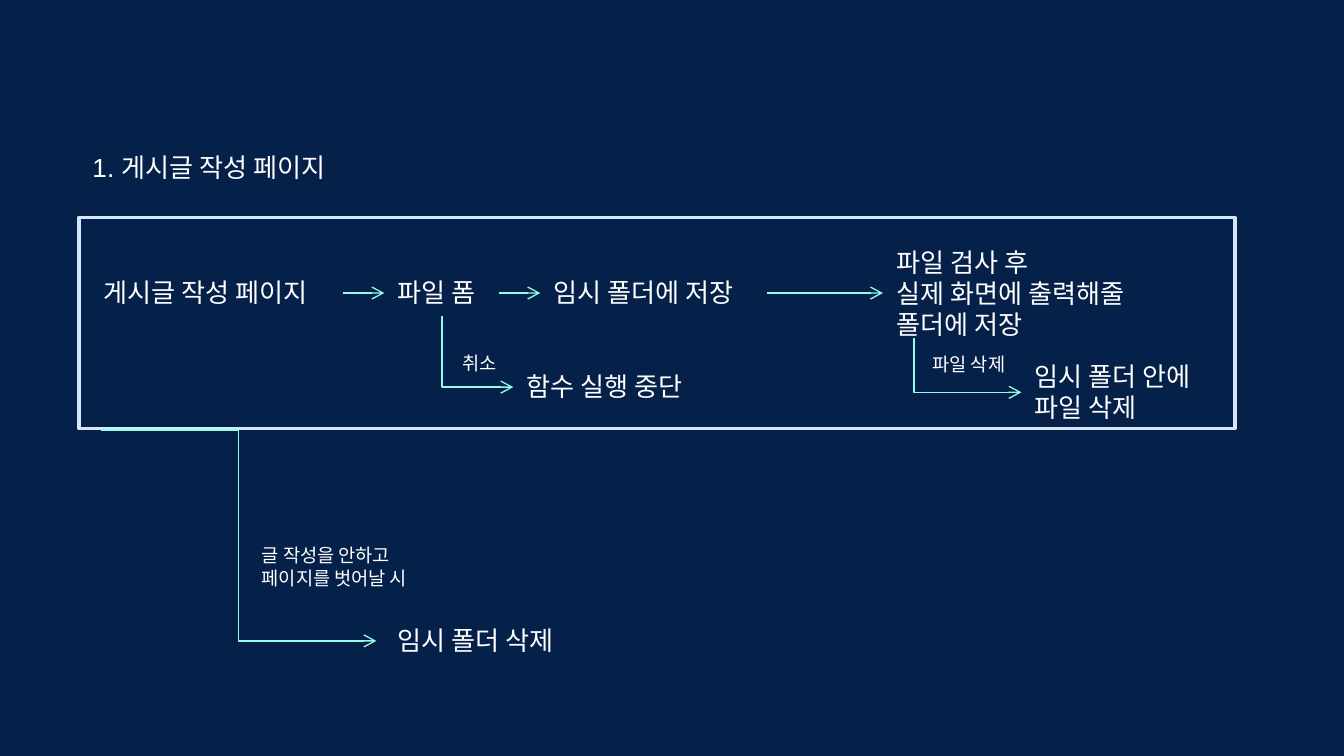
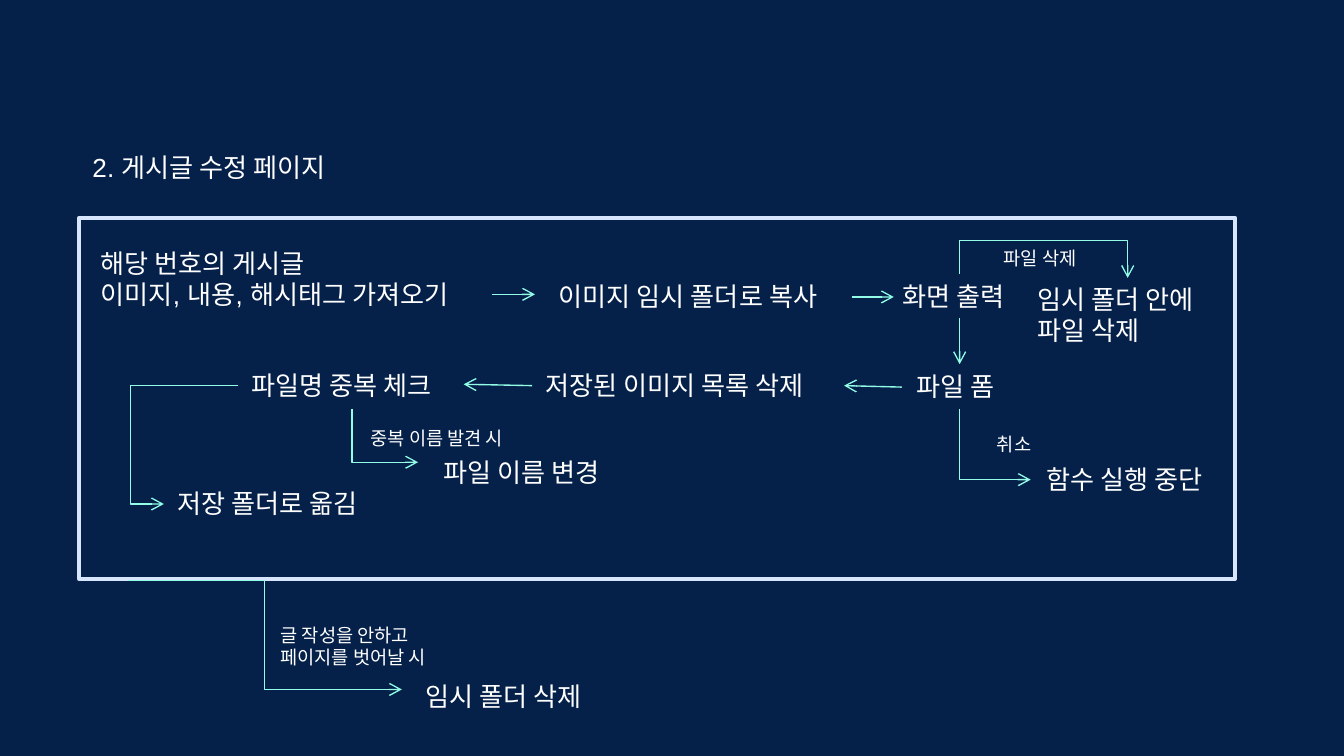
from dataclasses import dataclass

from lxml import etree
from pptx import Presentation
from pptx.dml.color import RGBColor
from pptx.enum.shapes import MSO_CONNECTOR, MSO_SHAPE
from pptx.enum.text import MSO_AUTO_SIZE
from pptx.oxml.ns import qn
from pptx.slide import Slide
from pptx.util import Pt

STRAIGHT, ELBOW = MSO_CONNECTOR.STRAIGHT, MSO_CONNECTOR.ELBOW
RECTANGLE = MSO_SHAPE.RECTANGLE
GROW = MSO_AUTO_SIZE.SHAPE_TO_FIT_TEXT

# Shared look
NAVY = RGBColor(0x05, 0x21, 0x4A)
MINT = RGBColor(0x92, 0xFC, 0xE6)
PALE_BLUE = RGBColor(0xD7, 0xE6, 0xFC)
WHITE = RGBColor(0xFF, 0xFF, 0xFF)
FONT = "Arial"
STEP_SIZE, NOTE_SIZE = 14, 10
FRAME_LEFT, FRAME_TOP, FRAME_WIDTH = 42.5, 116.6, 619.2
TITLE_TOP, TITLE_WIDTH = 77.8, 151.2

Point = tuple[float, float]


@dataclass(frozen=True)
class Label:
    text: str
    left: float
    top: float
    width: float
    size: int = STEP_SIZE


@dataclass(frozen=True)
class Arrow:
    start: Point
    end: Point


@dataclass(frozen=True)
class Elbow(Arrow):
    """bend: place of the middle leg as a share of the way; None for one corner."""
    bend: float | None = 0.5
    starts_down: bool = False


@dataclass(frozen=True)
class Flow:
    title: str
    frame_height: float
    labels: list[Label]
    arrows: list[Arrow]


# Wording found on both pages
def form_step(left: float, top: float) -> Label:
    return Label("파일 폼", left, top, 61.2)


def stop_step(left: float, top: float) -> Label:
    return Label("함수 실행 중단", left, top, 107.3)


def delete_file_step(left: float, top: float) -> Label:
    return Label("임시 폴더 안에\n파일 삭제", left, top, 110.9)


def delete_folder_step(left: float, top: float) -> Label:
    return Label("임시 폴더 삭제", left, top, 107.3)


def cancel_note(left: float, top: float) -> Label:
    return Label("취소", left, top, 34.6, NOTE_SIZE)


def delete_note(left: float, top: float) -> Label:
    return Label("파일 삭제", left, top, 57.6, NOTE_SIZE)


def leave_note(left: float, top: float) -> Label:
    return Label("글 작성을 안하고\n페이지를 벗어날 시", left, top, 100.8, NOTE_SIZE)


WRITE_FLOW = Flow(
    "1. 게시글 작성 페이지", 113,
    [
        Label("게시글 작성 페이지", 48.2, 144.7, 135.4),
        form_step(205.9, 144.7),
        Label("임시 폴더에 저장", 289.4, 144.7, 121.7),
        Label("파일 검사 후\n실제 화면에 출력해줄\n폴더에 저장", 473, 128.2, 153.4),
        stop_step(275, 195.1),
        cancel_note(240.5, 185),
        delete_note(492.5, 185.4),
        delete_file_step(547.2, 189.4),
        delete_folder_step(205.9, 331.2),
        leave_note(133.2, 288),
    ],
    [
        Arrow((183.6, 157), (205.9, 157)),
        Arrow((267.1, 157), (289.4, 157)),
        Arrow((411.1, 157), (473, 157)),
        Elbow((236.9, 169.2), (275, 207.4), bend=None, starts_down=True),
        Elbow((490.3, 181.4), (547.2, 210.2), bend=-0.01),
        Elbow((54, 230.4), (201.6, 343.4)),
    ],
)

EDIT_FLOW = Flow(
    "2. 게시글 수정 페이지", 193.7,
    [
        Label("해당 번호의 게시글\n이미지, 내용, 해시태그 가져오기", 46.8, 128.9, 218.2),
        Label("이미지 임시 폴더로 복사", 292.3, 146.9, 167.8),
        Label("화면 출력", 476.6, 146.9, 74.9),
        delete_note(530.6, 128.9),
        delete_file_step(548.6, 148.3),
        form_step(483.8, 195.1),
        stop_step(553.7, 244.8),
        cancel_note(527, 228.2),
        Label("저장된 이미지 목록 삭제", 285.1, 194.4, 167.8),
        Label("파일명 중복 체크", 127.4, 194.4, 121.7),
        Label("저장 폴더로 옮김", 87.8, 257.8, 121.7),
        Label("중복 이름 발견 시", 191.5, 225.4, 93.6, NOTE_SIZE),
        Label("파일 이름 변경", 230.4, 241.2, 107.3),
        delete_folder_step(221, 360.7),
        leave_note(143.3, 330.5),
    ],
    [
        Arrow((263.5, 157.7), (286.6, 157.7)),
        Arrow((456.5, 159.1), (478.8, 159.1)),
        Arrow((514.1, 170.6), (514.1, 195.1)),
        Arrow((483.1, 207.4), (452.2, 206.6)),
        Arrow((285.1, 206.6), (248.4, 205.9)),
        Elbow((514.1, 146.9), (604.1, 148.9), bend=-9, starts_down=True),
        Elbow((514.1, 218.9), (552.2, 257), bend=None, starts_down=True),
        Elbow((127.4, 206.6), (87.8, 270), bend=1.45),
        Elbow((188.6, 218.9), (223.9, 247.7), bend=None, starts_down=True),
        Elbow((68.4, 311), (215.3, 369.4)),
    ],
)


def draw_label(page: Slide, label: Label) -> None:
    lines = label.text.split("\n")
    height = 7.4 + 1.21 * label.size * len(lines)
    box = page.shapes.add_textbox(
        Pt(label.left), Pt(label.top), Pt(label.width), Pt(height))
    frame = box.text_frame
    frame.word_wrap = False
    frame.auto_size = GROW
    frame.text = label.text
    for para in frame.paragraphs:
        para.font.name = FONT
        para.font.size = Pt(label.size)
        para.font.color.rgb = WHITE


def draw_arrow(page: Slide, arrow: Arrow) -> None:
    kind = ELBOW if isinstance(arrow, Elbow) else STRAIGHT
    (x1, y1), (x2, y2) = arrow.start, arrow.end
    if isinstance(arrow, Elbow) and arrow.starts_down:
        # Swap width and height about the centre, ready for the quarter turn
        mid_x, mid_y = (x1 + x2) / 2, (y1 + y2) / 2
        half_width, half_height = (y2 - y1) / 2, (x2 - x1) / 2
        x1, x2 = mid_x - half_width, mid_x + half_width
        y1, y2 = mid_y - half_height, mid_y + half_height
    connector = page.shapes.add_connector(kind, Pt(x1), Pt(y1), Pt(x2), Pt(y2))
    connector.line.color.rgb = MINT
    connector.line.width = Pt(0.75)
    properties = connector._element.spPr
    etree.SubElement(properties.find(qn("a:ln")), qn("a:tailEnd"), type="arrow")
    etree.SubElement(properties, qn("a:effectLst"))
    if isinstance(arrow, Elbow):
        shape_elbow(properties, arrow)


def shape_elbow(properties: etree._Element, elbow: Elbow) -> None:
    if elbow.starts_down:
        transform = properties.find(qn("a:xfrm"))
        transform.set("rot", "16200000")
        transform.set("flipH", "1")
    geometry = properties.find(qn("a:prstGeom"))
    if elbow.bend is None:
        geometry.set("prst", "bentConnector2")
    else:
        etree.SubElement(geometry.find(qn("a:avLst")), qn("a:gd"), name="adj1",
                         fmla=f"val {round(elbow.bend * 100000)}")


def draw_frame(page: Slide, height: float) -> None:
    border = page.shapes.add_shape(
        RECTANGLE, Pt(FRAME_LEFT), Pt(FRAME_TOP), Pt(FRAME_WIDTH), Pt(height))
    border.shadow.inherit = False
    border.fill.background()
    border.line.color.rgb = PALE_BLUE
    border.line.width = Pt(2)


def draw_flow(page: Slide, flow: Flow) -> None:
    page.background.fill.solid()
    page.background.fill.fore_color.rgb = NAVY
    draw_frame(page, flow.frame_height)
    draw_label(page, Label(flow.title, FRAME_LEFT, TITLE_TOP, TITLE_WIDTH))
    for label in flow.labels:
        draw_label(page, label)
    for arrow in flow.arrows:
        draw_arrow(page, arrow)


def main() -> None:
    deck = Presentation()
    deck.slide_width, deck.slide_height = Pt(720), Pt(405)
    blank = deck.slide_layouts[6]
    for flow in (WRITE_FLOW, EDIT_FLOW):
        draw_flow(deck.slides.add_slide(blank), flow)
    deck.save("out.pptx")


if __name__ == "__main__":
    main()
